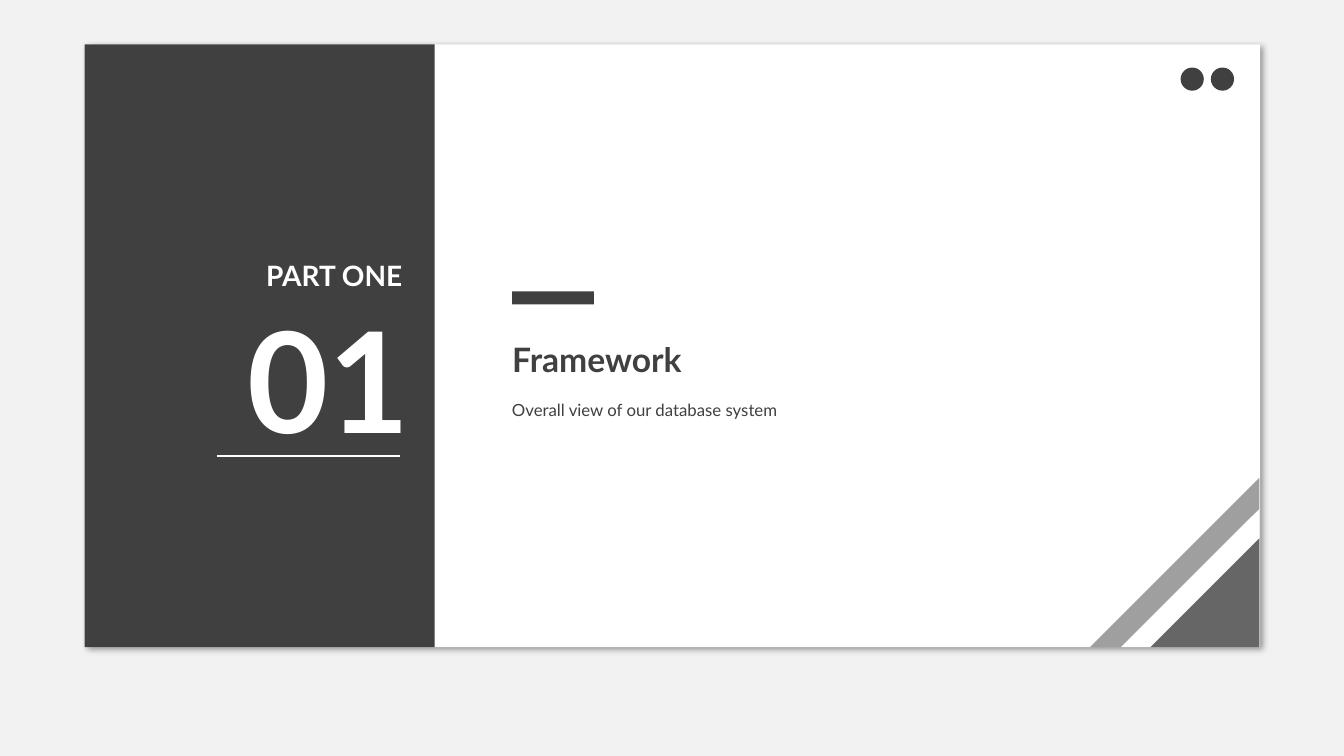
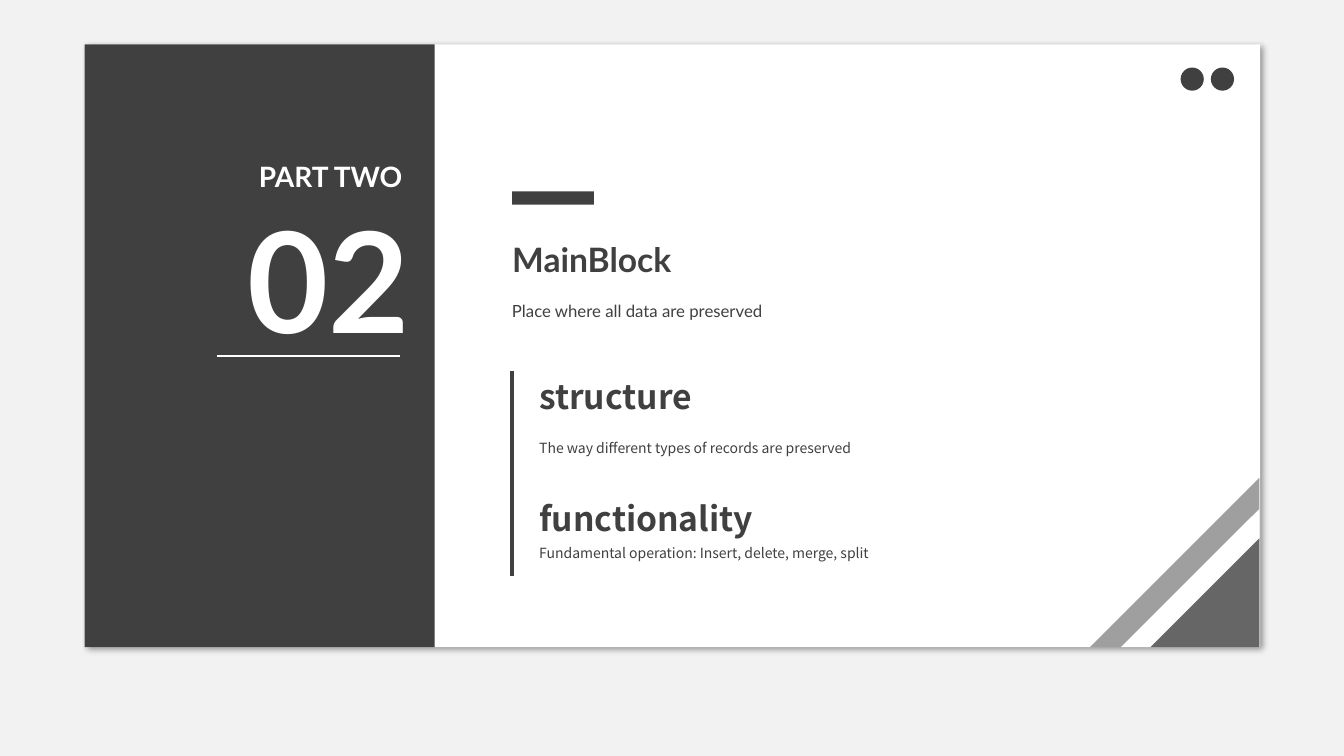
import pptx
import pptx.util
import pptx.dml.color
import pptx.enum.shapes
import pptx.enum.text
import pptx.oxml
import pptx.oxml.ns
import lxml.etree

Inches = pptx.util.Inches
Pt = pptx.util.Pt
RGBColor = pptx.dml.color.RGBColor
SHAPE = pptx.enum.shapes.MSO_SHAPE
ALIGN = pptx.enum.text.PP_ALIGN
qn = pptx.oxml.ns.qn

BACKDROP = RGBColor(0xF2, 0xF2, 0xF2)
WHITE = RGBColor(0xFF, 0xFF, 0xFF)
DARK = RGBColor(0x40, 0x40, 0x40)
LATO = "Lato"
NOTO = "Noto Sans CJK SC"

PAGE = (0.84, 0.44, 11.66, 5.98)
PAGE_RIGHT, PAGE_BOTTOM = 12.49, 6.42
PAGE_SHADOW = (
    '<a:outerShdw %s blurRad="50800" dist="38100" dir="2700000" algn="tl" rotWithShape="0">'
    '<a:srgbClr val="000000"><a:alpha val="40000"/></a:srgbClr></a:outerShdw>'
    % pptx.oxml.ns.nsdecls("a")
)


def write(box, text, size, font=LATO, color=DARK, bold=False,
          align=ALIGN.LEFT, spacing=1.0, wrap=True):
    frame = box.text_frame
    frame.word_wrap = wrap
    frame.auto_size = pptx.enum.text.MSO_AUTO_SIZE.SHAPE_TO_FIT_TEXT
    frame.vertical_anchor = pptx.enum.text.MSO_ANCHOR.TOP
    paragraph = frame.paragraphs[0]
    paragraph.alignment = align
    paragraph.line_spacing = spacing
    run = paragraph.add_run()
    run.text = text
    run.font.name = font
    run.font.size = Pt(size)
    run.font.bold = bold
    run.font.color.rgb = color
    east_asian = lxml.etree.SubElement(run.font._element, qn("a:ea"))
    east_asian.set("typeface", font)


class Deck:
    def __init__(self):
        self.presentation = pptx.Presentation()
        self.presentation.slide_width = Inches(13.33)
        self.presentation.slide_height = Inches(7.5)
        backdrop = self.presentation.slide_master.background.fill
        backdrop.solid()
        backdrop.fore_color.rgb = BACKDROP
        self.slide = None

    def shape(self, kind, area, color, opacity=100, flipped=False, group=None):
        owner = group or self.slide
        item = owner.shapes.add_shape(kind, *map(Inches, area))
        item.fill.solid()
        item.fill.fore_color.rgb = color
        item.line.fill.background()
        item.shadow.inherit = False
        properties = item._element.spPr
        if flipped:
            properties.xfrm.set("flipH", "1")
        if opacity < 100:
            tint = properties.find(".//" + qn("a:srgbClr"))
            lxml.etree.SubElement(tint, qn("a:alpha")).set("val", str(opacity * 1000))
        return item

    def line(self, start, end, color, width):
        rule = self.slide.shapes.add_connector(
            pptx.enum.shapes.MSO_CONNECTOR.STRAIGHT, *map(Inches, start + end))
        rule.line.color.rgb = color
        rule.line.width = Pt(width)
        lxml.etree.SubElement(rule._element.spPr, qn("a:effectLst"))

    def text(self, area, text, size, **style):
        write(self.slide.shapes.add_textbox(*map(Inches, area)), text, size, **style)

    def title(self, area, text):
        heading = self.slide.shapes.title
        heading.left, heading.top, heading.width, heading.height = map(Inches, area)
        write(heading, text, 24, bold=True, align=ALIGN.JUSTIFY)
        self.slide.shapes._spTree.append(heading._element)

    def page(self):
        sheet = self.shape(SHAPE.RECTANGLE, PAGE, WHITE)
        effects = sheet._element.spPr.find(qn("a:effectLst"))
        effects.append(pptx.oxml.parse_xml(PAGE_SHADOW))
        self.shape(SHAPE.RECTANGLE, (0.84, 0.44, 3.47, 5.98), DARK)
        corner = self.slide.shapes.add_group_shape()
        for side, color, opacity in ((1.68, DARK, 50), (1.37, WHITE, 100), (1.08, DARK, 80)):
            area = (PAGE_RIGHT - side, PAGE_BOTTOM - side, side, side)
            self.shape(SHAPE.RIGHT_TRIANGLE, area, color, opacity, True, corner)
        dots = self.slide.shapes.add_group_shape()
        for left in (11.71, 12.01):
            self.shape(SHAPE.OVAL, (left, 0.67, 0.23, 0.23), DARK, group=dots)

    def section(self, top, part, number, heading, summary):
        layout = self.presentation.slide_layouts.get_by_name("Title Only")
        self.slide = self.presentation.slides.add_slide(layout)
        self.page()
        label = dict(color=WHITE, bold=True, align=ALIGN.RIGHT)
        self.text((2.1, top + 0.34, 2.06, 1.78), number, 100, **label)
        self.line((2.15, top + 2), (3.97, top + 2), WHITE, 1.5)
        self.text((2.33, top, 1.76, 0.44), part, 20, **label)
        self.shape(SHAPE.RECTANGLE, (5.08, top + 0.37, 0.81, 0.13), DARK)
        self.title((4.98, top + 0.79, 2.1, 0.5), heading)
        self.text((4.98, top + 1.3, 6.14, 0.38), summary, 12, spacing=1.5)

    def topic(self, name, name_top, detail, detail_top):
        self.text((5.25, name_top, 2.35, 0.5), name, 24, font=NOTO, bold=True, wrap=False)
        self.text((5.25, detail_top, 4.27, 0.32), detail, 10, font=NOTO, spacing=1.5)


deck = Deck()
deck.section(2.52, "PART ONE", "01", "Framework", "Overall view of our database system")

deck.section(1.53, "PART TWO", "02", "MainBlock", "Place where all data are preserved")
deck.topic("structure", 3.68, "The way different types of records are preserved", 4.23)
deck.topic("functionality", 4.89, "Fundamental operation: Insert, delete, merge, split", 5.27)
deck.line((5.08, 3.68), (5.08, 5.71), DARK, 3)

deck.presentation.save("out.pptx")
